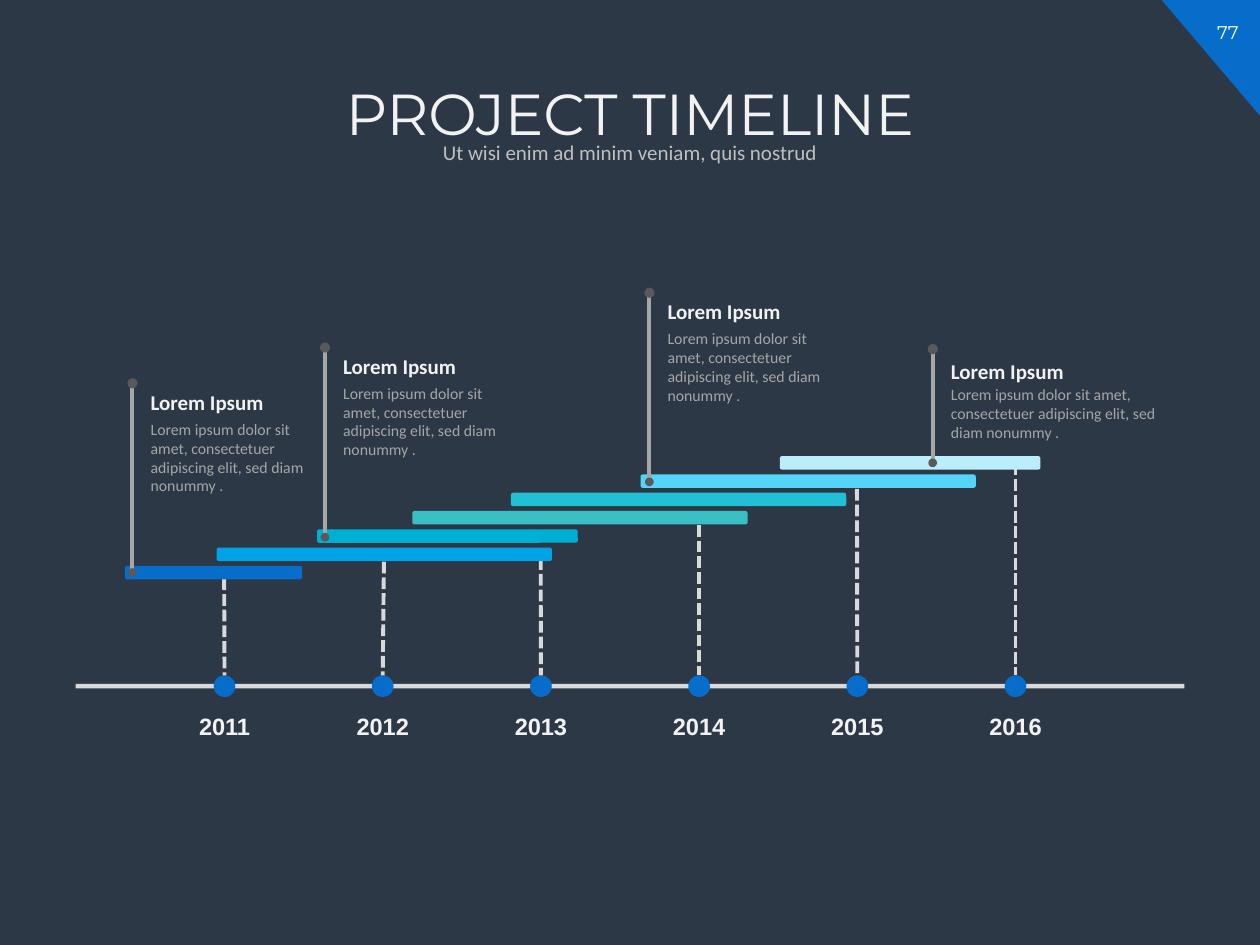
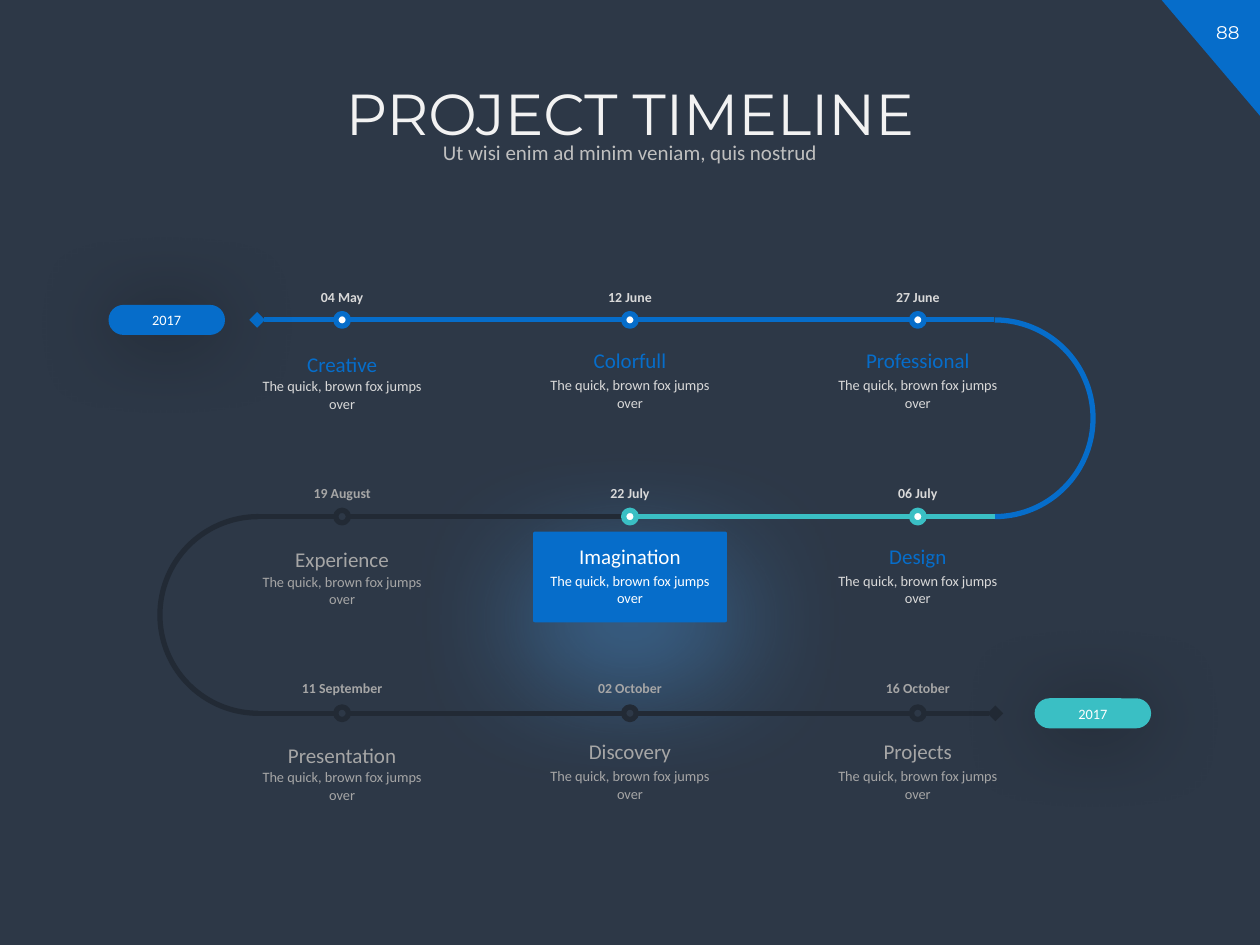
"""Build two project timeline slides: a yearly bar chart and a winding milestone track."""
import lxml.etree
import pptx
import pptx.dml.color
import pptx.enum.dml
import pptx.enum.shapes
import pptx.enum.text
import pptx.oxml.ns
import pptx.shapes.connector
import pptx.util

Pt = pptx.util.Pt
RGBColor = pptx.dml.color.RGBColor
Shape = pptx.enum.shapes.MSO_SHAPE
Align = pptx.enum.text.PP_ALIGN
Anchor = pptx.enum.text.MSO_ANCHOR
STRAIGHT = pptx.enum.shapes.MSO_CONNECTOR.STRAIGHT
qn = pptx.oxml.ns.qn

NAVY = RGBColor(0x2D, 0x38, 0x47)
INK = RGBColor(0x22, 0x2A, 0x35)
BLUE = RGBColor(0x06, 0x6D, 0xCA)
SKY = RGBColor(0x00, 0xA4, 0xE6)
CYAN = RGBColor(0x00, 0xB0, 0xD3)
TEAL = RGBColor(0x3A, 0xBF, 0xC4)
TURQUOISE = RGBColor(0x21, 0xC0, 0xD7)
LIGHT_BLUE = RGBColor(0x55, 0xD4, 0xFA)
PALE_BLUE = RGBColor(0xBB, 0xEE, 0xFD)
WHITE = RGBColor(0xFF, 0xFF, 0xFF)
OFF_WHITE = RGBColor(0xF2, 0xF2, 0xF2)
LIGHT_GRAY = RGBColor(0xD9, 0xD9, 0xD9)
SILVER = RGBColor(0xBF, 0xBF, 0xBF)
GRAY = RGBColor(0xA6, 0xA6, 0xA6)
DARK_GRAY = RGBColor(0x59, 0x59, 0x59)


def draw(page, kind, left, top, width, height, fill):
    shape = page.shapes.add_shape(kind, Pt(left), Pt(top), Pt(width), Pt(height))
    shape.shadow.inherit = False
    shape.fill.solid()
    shape.fill.fore_color.rgb = fill
    shape.line.fill.background()
    return shape


def write(page, text, left, top, width, height, size, color, font="Calibri",
          bold=False, align=Align.CENTER, spacing=None):
    box = page.shapes.add_textbox(Pt(left), Pt(top), Pt(width), Pt(height))
    box.text_frame.word_wrap = True
    para = box.text_frame.paragraphs[0]
    para.alignment = align
    para.line_spacing = spacing
    span = para.add_run()
    span.text = text
    span.font.size = Pt(size)
    span.font.name = font
    span.font.bold = bold
    span.font.color.rgb = color
    return box


deck = pptx.Presentation()
deck.slide_width = Pt(720)
deck.slide_height = Pt(540)

for number in ("77", "88"):
    page = deck.slides.add_slide(deck.slide_layouts[6])
    page.background.fill.solid()
    page.background.fill.fore_color.rgb = NAVY
    corner = draw(page, Shape.RIGHT_TRIANGLE, 663.8, 0, 56.2, 66.2, BLUE)
    corner.rotation = 180
    write(page, number, 683.3, 8.6, 36.7, 20.2, 10.5, WHITE, "Montserrat")
    write(page, "PROJECT TIMELINE", 41, 45.4, 638, 52.6, 33, OFF_WHITE, "Montserrat", spacing=0.9)
    subtitle = write(page, "Ut wisi enim ad minim veniam, quis nostrud",
                     100.4, 78.5, 519.2, 18.7, 12, SILVER, spacing=0.9)
    subtitle.text_frame.vertical_anchor = Anchor.MIDDLE
    subtitle.text_frame.paragraphs[0].space_before = Pt(9)

bars_page, track_page = deck.slides

AXIS_Y = 392.1
FIRST_YEAR_X, YEAR_STEP = 128.3, 90.4
draw(bars_page, Shape.RECTANGLE, 43.2, AXIS_Y - 1.3, 633.6, 2.6, LIGHT_GRAY)
dash_starts = [(128.1, 330.5), (219.4, 321), (309, 319), (399.5, 300), (489.7, 279.4), (580.3, 265)]
for index, (dash_x, dash_top) in enumerate(dash_starts):
    year_x = FIRST_YEAR_X + index * YEAR_STEP
    marker = draw(bars_page, Shape.OVAL, year_x - 6.2, AXIS_Y - 6.2, 12.4, 12.4, BLUE)
    dash = bars_page.shapes.add_connector(STRAIGHT, Pt(dash_x), Pt(dash_top), Pt(year_x), Pt(AXIS_Y))
    dash.end_connect(marker, 0)
    dash.line.color.rgb = LIGHT_GRAY
    dash.line.width = Pt(2.25)
    dash.line.dash_style = pptx.enum.dml.MSO_LINE.SQUARE_DOT
    write(bars_page, str(2011 + index), year_x - 34.6, 403.2, 69.2, 23.8,
          13.5, OFF_WHITE, "Arial", bold=True)

bars = [(71.4, 101.3, BLUE), (123.8, 191.6, SKY), (181.2, 149, CYAN), (235.6, 191.6, TEAL),
        (292, 191.6, TURQUOISE), (366, 191.6, LIGHT_BLUE), (445.6, 149, PALE_BLUE)]
for index, (left, width, color) in enumerate(bars):
    draw(bars_page, Shape.ROUNDED_RECTANGLE, left, 323.4 - index * 10.46, width, 7.7, color)

callouts = [(75.7, 219, 327.2, 218.9, 236.1, 109.4), (185.7, 198.6, 307, 198.4, 215.5, 109.4),
            (371.1, 167.3, 275.4, 167, 184.2, 109.4), (533, 199.5, 264.5, 201.5, 216.1, 140.4)]
for stem_x, stem_top, stem_bottom, heading_top, detail_top, detail_width in callouts:
    write(bars_page, "Lorem ipsum dolor sit amet, consectetuer adipiscing elit, sed diam nonummy .",
          stem_x + 3.3, detail_top, detail_width, 51, 9, GRAY, align=Align.LEFT)
    write(bars_page, "Lorem Ipsum", stem_x + 3.3, heading_top, 92.2, 21.6,
          12, OFF_WHITE, bold=True, align=Align.LEFT)
    stem = bars_page.shapes.add_connector(STRAIGHT, Pt(stem_x), Pt(stem_bottom), Pt(stem_x), Pt(stem_top))
    stem.line.color.rgb = GRAY
    stem.line.width = Pt(2.25)
    for dot_y, size in ((stem_top, 5.8), (stem_bottom, 5)):
        draw(bars_page, Shape.OVAL, stem_x - size / 2, dot_y - size / 2, size, size, DARK_GRAY)

ROW_Y = [182.8, 295.2, 407.6]
BEND = ROW_Y[1] - ROW_Y[0]
card = draw(track_page, Shape.ROUNDED_RECTANGLE, 304.6, 303.8, 110.8, 51.8, BLUE)
card.adjustments[0] = 0.02

for left, top, color, flipped in ((512.2, ROW_Y[0], BLUE, False), (91.4, ROW_Y[1], INK, True)):
    bend = draw(track_page, Shape.ARC, left, top, BEND, BEND, color)
    bend.fill.background()
    bend.line.color.rgb = color
    bend.line.width = Pt(3)
    bend.adjustments[0] = 162
    bend.adjustments[1] = 53.95
    if flipped:
        bend.element.spPr.find(qn("a:xfrm")).set("flipH", "1")

tracks = [(147.6, 568.8, ROW_Y[1], INK, None), (147.6, 568.8, ROW_Y[2], INK, "a:tailEnd"),
          (147, 568.2, ROW_Y[0], BLUE, "a:headEnd"), (360, 568.8, ROW_Y[1], TEAL, None)]
for start, end, y, color, diamond_end in tracks:
    track = track_page.shapes.add_connector(STRAIGHT, Pt(start), Pt(y), Pt(end), Pt(y))
    track.line.color.rgb = color
    track.line.width = Pt(3)
    if diamond_end:
        outline = track.element.spPr.find(qn("a:ln"))
        lxml.etree.SubElement(outline, qn(diamond_end), type="diamond")

shadows = [(card, "4FA9FA", 61, 79, 24)]
for left, y, color in ((591.2, ROW_Y[2], TEAL), (62, ROW_Y[0], BLUE)):
    pill = draw(track_page, Shape.ROUNDED_RECTANGLE, left, y - 8.6, 66.6, 17.2, color)
    pill.adjustments[0] = 0.5
    pill.text_frame.vertical_anchor = Anchor.MIDDLE
    para = pill.text_frame.paragraphs[0]
    para.alignment = Align.CENTER
    span = para.add_run()
    span.text = "2017"
    span.font.size = Pt(8.2)
    span.font.name = "Calibri"
    span.font.color.rgb = WHITE
    shadows.append((pill, "000000", 40, 46, 3))

for shape, color, opacity, blur, distance in shadows:
    effects = shape.element.spPr.find(qn("a:effectLst"))
    shadow = lxml.etree.SubElement(effects, qn("a:outerShdw"), blurRad=str(Pt(blur)),
                                   dist=str(Pt(distance)), dir="5400000", algn="ctr", rotWithShape="0")
    tint = lxml.etree.SubElement(shadow, qn("a:srgbClr"), val=color)
    lxml.etree.SubElement(tint, qn("a:alpha"), val=str(opacity * 1000))

DONE = (BLUE, WHITE, LIGHT_GRAY, BLUE, LIGHT_GRAY)
CURRENT = (TEAL, WHITE, LIGHT_GRAY, WHITE, WHITE)
RECENT = (TEAL, WHITE, LIGHT_GRAY, BLUE, LIGHT_GRAY)
PENDING = (INK, NAVY, GRAY, GRAY, GRAY)
milestones = [
    [("04 May", "Creative", DONE), ("12 June", "Colorfull", DONE), ("27 June", "Professional", DONE)],
    [("19 August", "Experience", PENDING), ("22 July", "Imagination", CURRENT), ("06 July", "Design", RECENT)],
    [("11 September", "Presentation", PENDING), ("02 October", "Discovery", PENDING),
     ("16 October", "Projects", PENDING)],
]
for row, milestone_row in enumerate(milestones):
    text_top = 159.8 + row * 111.7
    for column, (date, name, state) in enumerate(milestone_row):
        ring_color, dot_color, date_color, name_color, detail_color = state
        center = 195.5 + column * 164.5
        left = center - 52.9
        name_drop, detail_drop = (34.6, 52.4) if column == 0 else (32.6, 51.8)
        dot = draw(track_page, Shape.OVAL, center - 3.6, ROW_Y[row] - 3.6, 7.2, 7.2, dot_color)
        dot.line.color.rgb = ring_color
        dot.line.width = Pt(3)
        write(track_page, date, left, text_top, 105.8, 18.7, 7.9, date_color, bold=True, spacing=1.2)
        write(track_page, name, left, text_top + name_drop, 105.8, 24.5, 12, name_color, spacing=1.2)
        write(track_page, "The quick, brown fox jumps over", left, text_top + detail_drop,
              105.8, 27.4, 8.2, detail_color)

for page in deck.slides:
    for shape in page.shapes:
        if isinstance(shape, pptx.shapes.connector.Connector):
            lxml.etree.SubElement(shape.element.spPr, qn("a:effectLst"))

deck.save("out.pptx")
